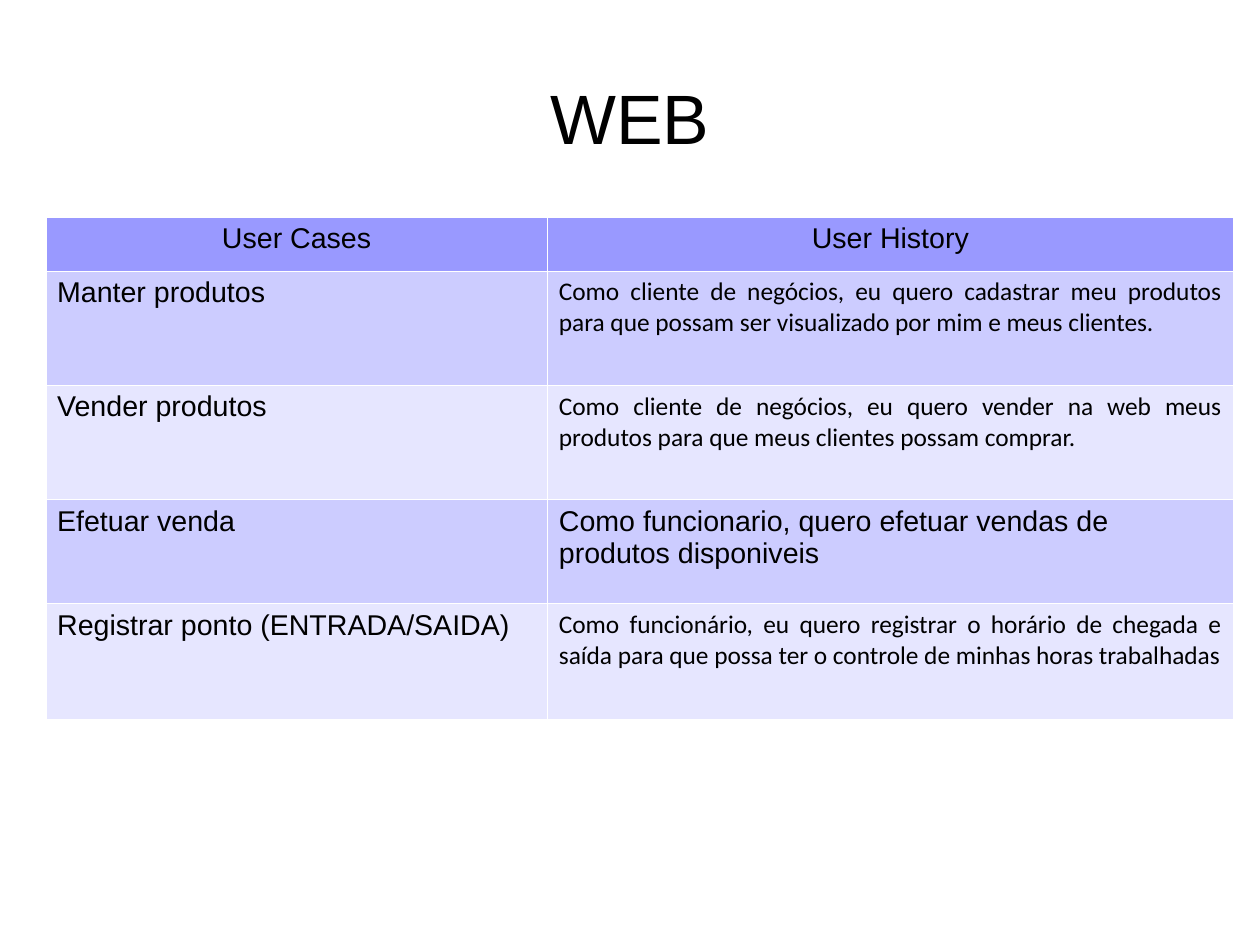
from lxml import etree
from pptx import Presentation
from pptx.dml.color import RGBColor
from pptx.enum.text import MSO_ANCHOR, PP_ALIGN
from pptx.oxml.ns import qn
from pptx.util import Cm, Inches, Pt

LEFT, CENTER, JUSTIFY = PP_ALIGN.LEFT, PP_ALIGN.CENTER, PP_ALIGN.JUSTIFY
TOP, MIDDLE = MSO_ANCHOR.TOP, MSO_ANCHOR.MIDDLE

BLACK = RGBColor(0x00, 0x00, 0x00)
WHITE = RGBColor(0xFF, 0xFF, 0xFF)
HEADER_FILL = RGBColor(0x99, 0x99, 0xFF)
BAND_FILLS = (RGBColor(0xCC, 0xCC, 0xFF), RGBColor(0xE6, 0xE6, 0xFF))

SLIDE_WIDTH, SLIDE_HEIGHT = Cm(28), Cm(21)
COLUMN_WIDTHS = (4.39, 6)
ROW_HEIGHTS = (0.47, 1, 1, 0.91, 1.01)
BORDER_WIDTH = Pt(0.06)

HEADINGS = ("User Cases", "User History")
LABEL_STYLE = ("Arial", 18, LEFT)
HEADING_STYLE = ("Arial", 18, CENTER)
STORY_STYLE = ("Calibri", 16, JUSTIFY)
USE_CASES = (
    ("Manter produtos",
     "Como cliente de negócios, eu quero cadastrar meu produtos para que "
     "possam ser visualizado por mim e meus clientes.", STORY_STYLE),
    ("Vender produtos",
     "Como cliente de negócios, eu quero vender na web meus produtos para "
     "que meus clientes possam comprar.", STORY_STYLE),
    ("Efetuar venda",
     "Como funcionario, quero efetuar vendas de produtos disponiveis",
     LABEL_STYLE),
    ("Registrar ponto (ENTRADA/SAIDA)",
     "Como funcionário, eu quero registrar o horário de chegada e saída para "
     "que possa ter o controle de minhas horas trabalhadas", STORY_STYLE),
)


def write_text(text_frame, wording, style):
    font_name, size, alignment = style
    text_frame.text = wording
    paragraph = text_frame.paragraphs[0]
    paragraph.alignment = alignment
    font = paragraph.runs[0].font
    font.name = font_name
    font.size = Pt(size)
    font.color.rgb = BLACK


def add_borders(cell):
    properties = cell._tc.get_or_add_tcPr()
    for position, side in enumerate(("a:lnL", "a:lnR", "a:lnT", "a:lnB")):
        border = etree.Element(qn(side), w=str(BORDER_WIDTH))
        fill = etree.SubElement(border, qn("a:solidFill"))
        etree.SubElement(fill, qn("a:srgbClr"), val=str(WHITE))
        properties.insert(position, border)


def format_cell(cell, wording, style, fill_color):
    cell.margin_left = cell.margin_right = Inches(0.1)
    cell.margin_top = cell.margin_bottom = Inches(0.05)
    cell.vertical_anchor = TOP
    cell.fill.solid()
    cell.fill.fore_color.rgb = fill_color
    add_borders(cell)
    write_text(cell.text_frame, wording, style)


def add_title(slide, wording):
    title = slide.shapes.title
    title.left, title.top = int(SLIDE_WIDTH * 0.05), int(SLIDE_HEIGHT * 0.04)
    title.width, title.height = int(SLIDE_WIDTH * 0.9), Inches(1.38)
    frame = title.text_frame
    frame.margin_left = frame.margin_right = 0
    frame.margin_top = frame.margin_bottom = 0
    frame.vertical_anchor = MIDDLE
    frame.word_wrap = True
    write_text(frame, wording, ("Arial", 44, CENTER))


def add_use_case_table(slide):
    table = slide.shapes.add_table(
        len(ROW_HEIGHTS), len(COLUMN_WIDTHS), Inches(0.4), Inches(1.9),
        Inches(sum(COLUMN_WIDTHS)), Inches(sum(ROW_HEIGHTS))).table
    for column, width in zip(table.columns, COLUMN_WIDTHS):
        column.width = Inches(width)
    for row, height in zip(table.rows, ROW_HEIGHTS):
        row.height = Inches(height)

    for column, heading in enumerate(HEADINGS):
        format_cell(table.cell(0, column), heading, HEADING_STYLE, HEADER_FILL)
    for row, (use_case, story, story_style) in enumerate(USE_CASES, start=1):
        band = BAND_FILLS[(row - 1) % len(BAND_FILLS)]
        format_cell(table.cell(row, 0), use_case, LABEL_STYLE, band)
        format_cell(table.cell(row, 1), story, story_style, band)


def main():
    presentation = Presentation()
    presentation.slide_width = SLIDE_WIDTH
    presentation.slide_height = SLIDE_HEIGHT
    title_only = presentation.slide_layouts[5]
    slide = presentation.slides.add_slide(title_only)
    slide.background.fill.solid()
    slide.background.fill.fore_color.rgb = WHITE
    add_title(slide, "WEB")
    add_use_case_table(slide)
    presentation.save("out.pptx")


if __name__ == "__main__":
    main()
